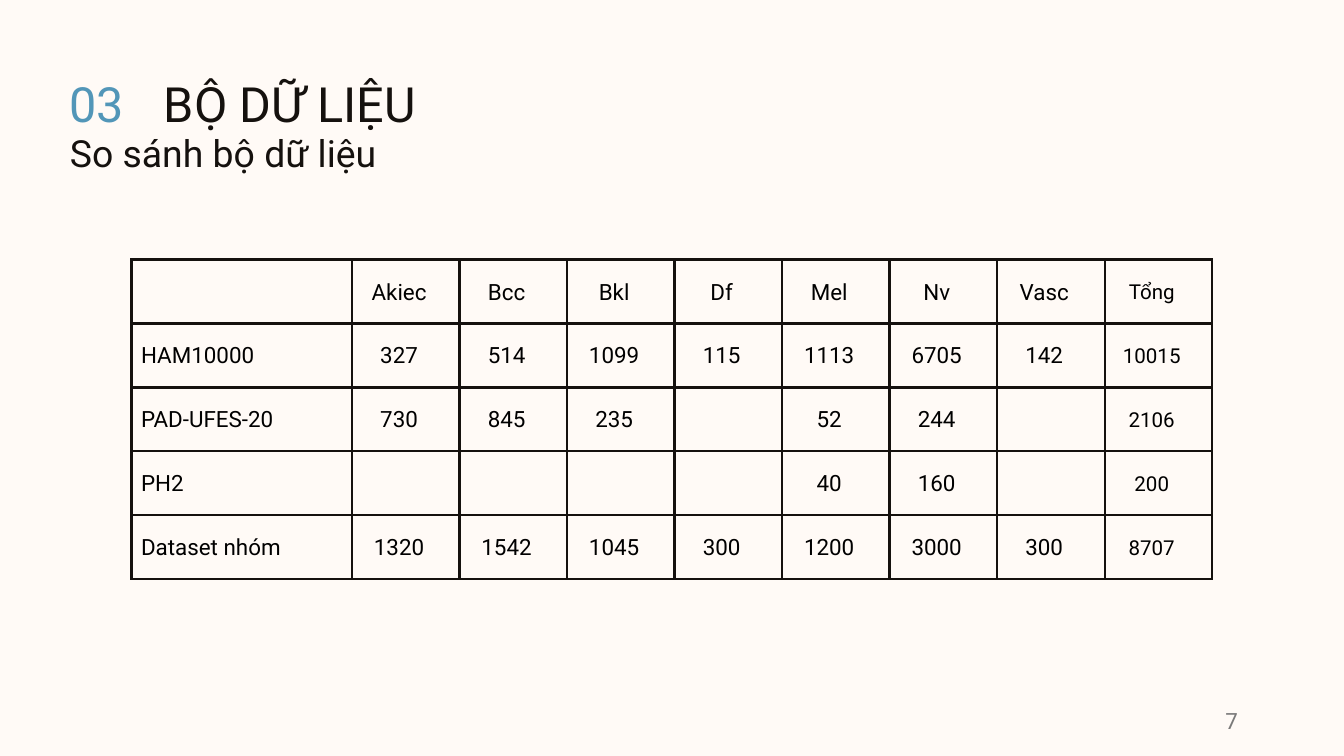
from lxml import etree
from pptx import Presentation
from pptx.dml.color import RGBColor
from pptx.enum.text import MSO_ANCHOR, MSO_AUTO_SIZE, PP_ALIGN
from pptx.oxml.ns import qn
from pptx.util import Inches, Pt

LEFT, RIGHT = PP_ALIGN.LEFT, PP_ALIGN.RIGHT
CENTER, JUSTIFY = PP_ALIGN.CENTER, PP_ALIGN.JUSTIFY
TOP, MIDDLE = MSO_ANCHOR.TOP, MSO_ANCHOR.MIDDLE
NO_FIT = MSO_AUTO_SIZE.NONE

ROWS = [
    ["", "Akiec", "Bcc", "Bkl", "Df", "Mel", "Nv", "Vasc", "Tổng"],
    ["HAM10000", "327", "514", "1099", "115", "1113", "6705", "142", "10015"],
    ["PAD-UFES-20", "730", "845", "235", "", "52", "244", "", "2106"],
    ["PH2", "", "", "", "", "40", "160", "", "200"],
    ["Dataset nhóm", "1320", "1542", "1045", "300", "1200", "3000", "300", "8707"],
]


def color(code):
    return RGBColor.from_string(code)


def write(frame, text, size=12, ink="000000", font="Roboto", align=LEFT, line=1.0, gap=0):
    para = frame.paragraphs[0]
    para.alignment = align
    para.line_spacing = line
    para.space_before = para.space_after = Pt(gap)
    run = para.add_run()
    run.text = text
    run.font.size = Pt(size)
    run.font.name = font
    run.font.bold = False
    run.font.color.rgb = color(ink)


class Deck:
    dark = "15110E"
    blue = "5296B8"
    gray = "7A7979"
    paper = "FFFAF6"

    def __init__(self, show):
        self.slide = show.slides.add_slide(show.slide_layouts[1])
        fill = self.slide.background.fill
        fill.solid()
        fill.fore_color.rgb = color(self.paper)

    def place(self, shape, box, text, anchor=TOP, **style):
        shape.left, shape.top, shape.width, shape.height = map(Inches, box)
        frame = shape.text_frame
        frame.word_wrap = True
        frame.auto_size = NO_FIT
        frame.vertical_anchor = anchor
        frame.margin_left = frame.margin_right = Inches(0.1)
        frame.margin_top = frame.margin_bottom = Inches(0.1)
        write(frame, text, **style)

    def title(self, box, text, **style):
        self.place(self.slide.shapes.title, box, text, **style)

    def body(self, box, text, **style):
        shape = self.slide.placeholders[1]
        self.place(shape, box, text, **style)
        props = shape.text_frame.paragraphs[0]._p.get_or_add_pPr()
        props.set("marL", "0")
        props.set("indent", "0")
        etree.SubElement(props, qn("a:buNone"))

    def label(self, box, text, **style):
        shape = self.slide.shapes.add_textbox(*map(Inches, box))
        self.place(shape, box, text, **style)

    def border(self, cell, width=1.5):
        props = cell._tc.get_or_add_tcPr()
        for side in ("lnL", "lnR", "lnT", "lnB"):
            line = etree.SubElement(props, qn(f"a:{side}"), w=str(Pt(width)))
            fill = etree.SubElement(line, qn("a:solidFill"))
            etree.SubElement(fill, qn("a:srgbClr"), val=self.dark)

    def table(self, box, rows, first, rest):
        count = len(rows[0])
        frame = self.slide.shapes.add_table(len(rows), count, *map(Inches, box))
        table = frame.table
        table.first_row = table.horz_banding = False
        for i, col in enumerate(table.columns):
            col.width = Inches(rest if i else first)
        for r, row in enumerate(rows):
            for c, text in enumerate(row):
                cell = table.cell(r, c)
                self.border(cell)
                cell.fill.background()
                cell.vertical_anchor = MIDDLE
                cell.margin_left = Inches(0.07)
                cell.margin_right = Inches(0.17 if c else 0.07)
                cell.margin_top = cell.margin_bottom = 0
                if text:
                    write(cell.text_frame, text, size=11 if c == count - 1 else 12,
                          align=CENTER if c else JUSTIFY, line=1.07, gap=3)


def main():
    show = Presentation()
    show.slide_width = Inches(10)
    show.slide_height = show.slide_width * 9 // 16
    deck = Deck(show)
    deck.label((7.06, 5.21, 2.25, 0.3), "7", anchor=MIDDLE, ink=deck.gray, align=RIGHT)
    deck.body((0.42, 0.87, 4.72, 0.63), "So sánh bộ dữ liệu", size=20, ink=deck.dark)
    deck.label((0.42, 0.45, 0.7, 0.57), "03", size=26, ink=deck.blue)
    deck.title((1.12, 0.45, 5.18, 0.63), "BỘ DỮ LIỆU", size=26, ink=deck.dark)
    deck.table((0.98, 1.93, 8.04, 2.38), ROWS, first=1.64, rest=0.8)
    show.save("out.pptx")


if __name__ == "__main__":
    main()
